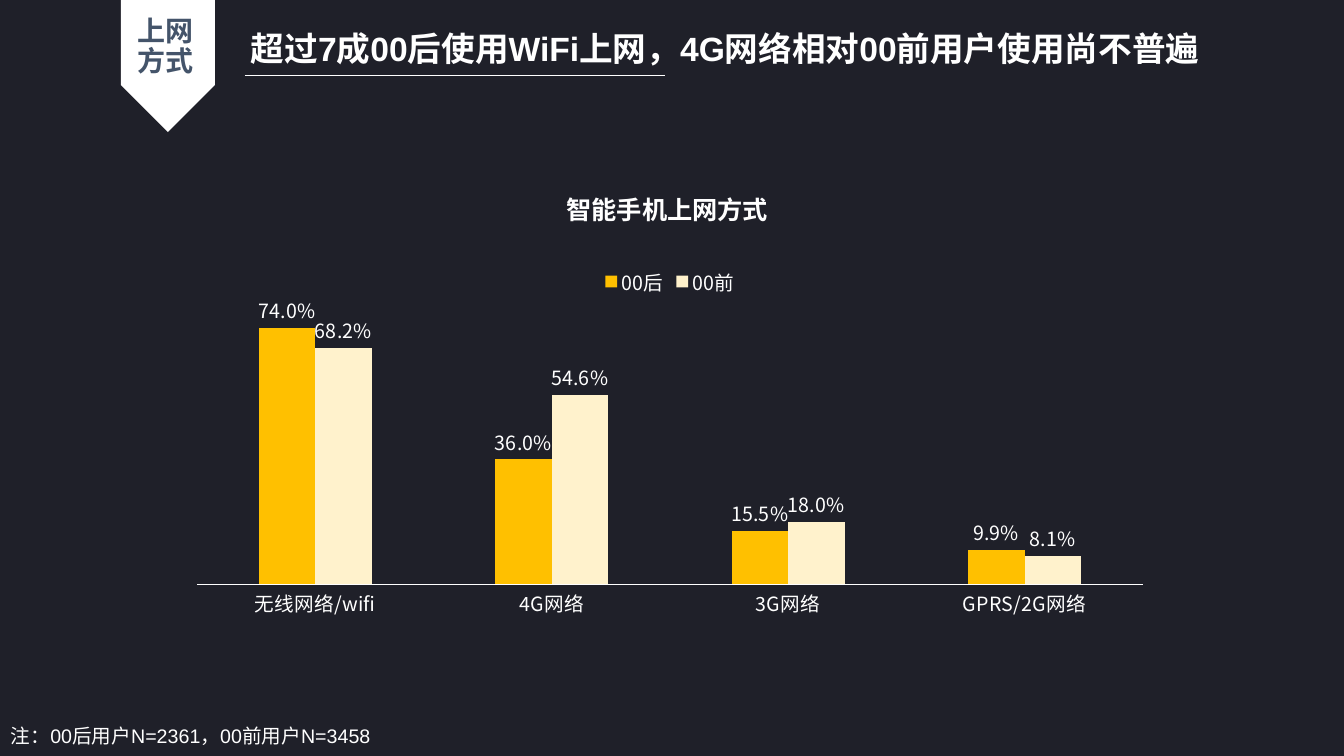
"""Build the slide on how smartphone users go online."""
from lxml import etree
from pptx import Presentation
from pptx.chart.data import CategoryChartData
from pptx.dml.color import RGBColor
from pptx.enum import chart as ch, shapes, text
from pptx.oxml.ns import qn
from pptx.util import Inches, Pt

NIGHT = RGBColor(0x1F, 0x20, 0x29)
WHITE = RGBColor(0xFF, 0xFF, 0xFF)
SLATE = RGBColor(0x44, 0x54, 0x6A)
GOLD = RGBColor(0xFF, 0xC0, 0x00)
CREAM = RGBColor(0xFF, 0xF2, 0xCC)
LATIN, CJK = "Arial", "Noto Sans CJK SC"
PERCENT = "###0.0%"


def add_text(s, box, words, size, color=WHITE, bold=False, spacing=1.0, wrap=True):
    tb = s.shapes.add_textbox(*map(Inches, box))
    tf = tb.text_frame
    tf.word_wrap = wrap
    p = tf.paragraphs[0]
    p.text = words
    p.line_spacing = spacing
    r = p.runs[0]
    r.font.name, r.font.size, r.font.bold = LATIN, Pt(size), bold
    r.font.color.rgb = color
    etree.SubElement(r.font._element, qn("a:ea")).set("typeface", CJK)
    return p


def style_font(font):
    font.name, font.size, font.bold = CJK, Pt(14), False
    font.color.rgb = WHITE
    etree.SubElement(font._element, qn("a:ea")).set("typeface", CJK)


prs = Presentation()
prs.slide_width, prs.slide_height = Inches(13.33), Inches(7.5)
s = prs.slides.add_slide(prs.slide_layouts[6])
s.background.fill.solid()
s.background.fill.fore_color.rgb = NIGHT

tag = s.shapes.add_shape(shapes.MSO_SHAPE.PENTAGON, Inches(1.01), Inches(0.19),
                         Inches(1.31), Inches(0.93))
tag.rotation = 90
tag.shadow.inherit = False
tag.fill.solid()
tag.fill.fore_color.rgb = WHITE
tag.line.fill.background()

rule = s.shapes.add_connector(shapes.MSO_CONNECTOR.STRAIGHT, Inches(2.43), Inches(0.75),
                              Inches(6.6), Inches(0.75))
rule.line.color.rgb = WHITE
rule.line.width = Pt(0.5)
etree.SubElement(rule._element.spPr, qn("a:effectLst"))

add_text(s, (2.39, 0.27, 10.08, 0.42),
         "超过7成00后使用WiFi上网，4G网络相对00前用户使用尚不普遍",
         24, bold=True, spacing=0.9)

cd = CategoryChartData(number_format=PERCENT)
cd.categories = ["无线网络/wifi", "4G网络", "3G网络", "GPRS/2G网络"]
cd.add_series("00后", (0.74, 0.36, 0.155, 0.099))
cd.add_series("00前", (0.682, 0.546, 0.18, 0.081))
chart = s.shapes.add_chart(ch.XL_CHART_TYPE.COLUMN_CLUSTERED, Inches(1.76), Inches(2.54),
                           Inches(9.77), Inches(3.65), cd).chart
chart.has_title = False
style_font(chart.font)
chart.has_legend = True
chart.legend.position = ch.XL_LEGEND_POSITION.TOP
chart.legend.include_in_layout = False
style_font(chart.legend.font)

cat = chart.category_axis
cat.major_tick_mark = ch.XL_TICK_MARK.NONE
cat.format.line.color.rgb = WHITE
cat.format.line.width = Pt(0.75)
style_font(cat.tick_labels.font)
val = chart.value_axis
val.visible = False
val.has_major_gridlines = False
val.minimum_scale, val.maximum_scale = 0, 0.8
val.tick_labels.number_format = PERCENT
val.tick_labels.number_format_is_linked = False

plot = chart.plots[0]
plot.gap_width, plot.overlap = 219, 0
plot.vary_by_categories = False
for series, color in zip(plot.series, (GOLD, CREAM)):
    series.format.fill.solid()
    series.format.fill.fore_color.rgb = color
    labels = series.data_labels
    labels.show_value = True
    labels.number_format = PERCENT
    labels.number_format_is_linked = False
    labels.position = ch.XL_LABEL_POSITION.OUTSIDE_END
    style_font(labels.font)

add_text(s, (5.52, 1.88, 2.52, 0.4), "智能手机上网方式", 18, bold=True, wrap=False)
add_text(s, (0.01, 7.13, 5.59, 0.34), "注：00后用户N=2361，00前用户N=3458", 14)
p = add_text(s, (1.24, 0.12, 0.81, 0.71), "上网方式", 20, SLATE, bold=True, spacing=0.9)
p.alignment = text.PP_ALIGN.CENTER

prs.save("out.pptx")
